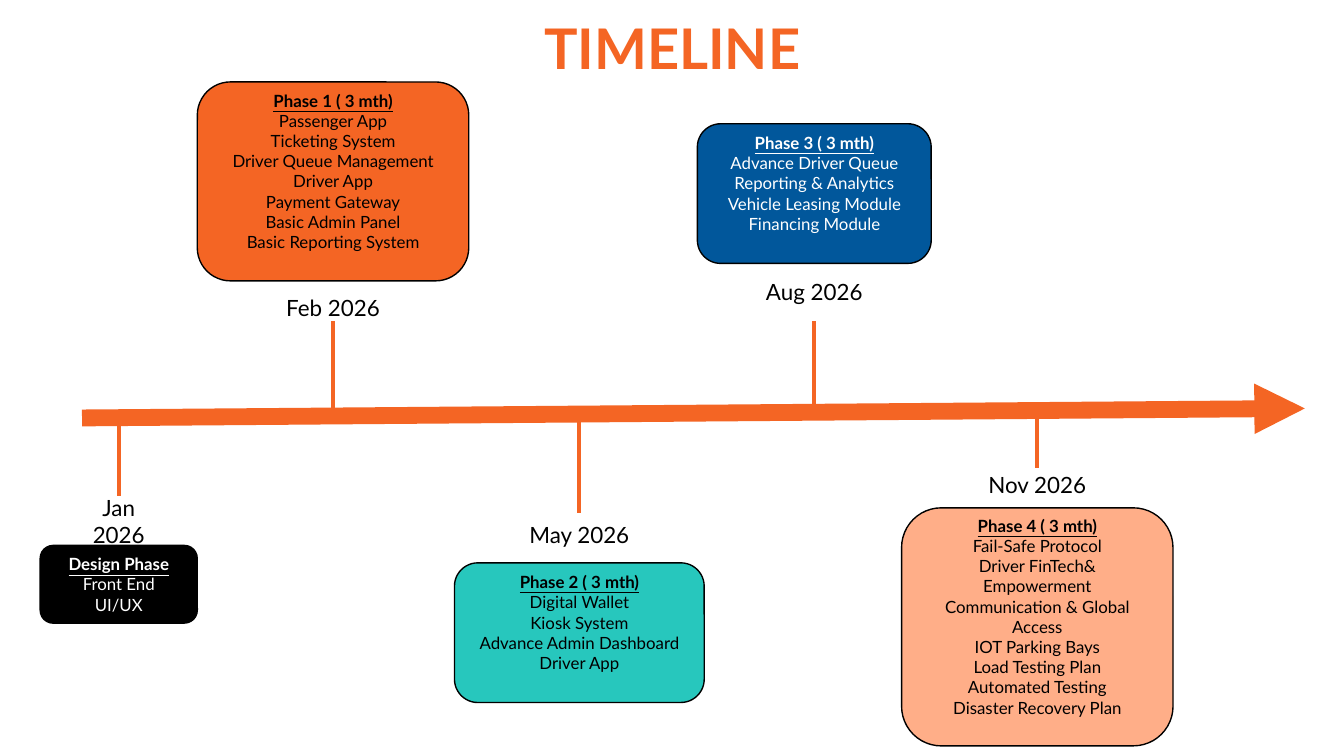
from lxml import etree
from pptx import Presentation
from pptx.dml.color import RGBColor
from pptx.enum.shapes import MSO_CONNECTOR, MSO_SHAPE
from pptx.enum.text import MSO_ANCHOR, PP_ALIGN
from pptx.oxml.ns import qn
from pptx.util import Cm, Pt

STRAIGHT = MSO_CONNECTOR.STRAIGHT
ROUNDED = MSO_SHAPE.ROUNDED_RECTANGLE
TOP, MIDDLE = MSO_ANCHOR.TOP, MSO_ANCHOR.MIDDLE
CENTER = PP_ALIGN.CENTER

FONT = "Lato"
INSET = 0.25
TITLE_ONLY = 5
COLORS = {
    "orange": "F46524",
    "teal": "27C7BD",
    "blue": "01579B",
    "peach": "FFAE88",
    "black": "000000",
    "white": "FFFFFF",
}

# box, fill, text colour, bottom inset, lines, date, date box width,
# then date top and tick ends measured from the top of the box
MILESTONES = [
    ((0.76, 10.31, 2.97, 1.47), "black", "white", INSET,
     ["Design Phase", "Front End", "UI/UX"],
     "Jan 2026", 2.08, -1.22, (-2.41, -0.94)),
    ((3.73, 1.55, 5.13, 3.76), "orange", "black", 0.64,
     ["Phase 1 ( 3 mth)", "Passenger App", "Ticketing System",
      "Driver Queue Management", "Driver App", "Payment Gateway",
      "Basic Admin Panel", "Basic Reporting System"],
     "Feb 2026", 3.25, 3.76, (4.52, 6.32)),
    ((8.59, 10.64, 4.72, 2.64), "teal", "black", 0.64,
     ["Phase 2 ( 3 mth)", "Digital Wallet", "Kiosk System",
      "Advance Admin Dashboard", "Driver App"],
     "May 2026", 2.97, -1.04, (-2.74, -0.94)),
    ((13.18, 2.34, 4.42, 2.64), "blue", "white", 0.64,
     ["Phase 3 ( 3 mth)", "Advance Driver Queue", "Reporting & Analytics",
      "Vehicle Leasing Module", "Financing Module"],
     "Aug 2026", 3.25, 2.66, (3.73, 5.53)),
    ((17.04, 9.6, 5.13, 4.5), "peach", "black", 0.64,
     ["Phase 4 ( 3 mth)", "Fail-Safe Protocol",
      "Driver FinTech& Empowerment", "Communication & Global Access",
      "IOT Parking Bays", "Load Testing Plan", "Automated Testing",
      "Disaster Recovery Plan"],
     "Nov 2026", 3.25, -0.94, (-1.7, -0.76)),
]


def rgb(name):
    return RGBColor.from_string(COLORS[name])


def write_text(shape, lines, size, color, anchor, heading=False, bottom=INSET):
    frame = shape.text_frame
    frame.word_wrap = True
    frame.vertical_anchor = anchor
    frame.margin_left = frame.margin_right = frame.margin_top = Cm(INSET)
    frame.margin_bottom = Cm(bottom)
    frame.text = "\n".join(lines)
    for index, paragraph in enumerate(frame.paragraphs):
        paragraph.alignment = CENTER
        paragraph.line_spacing = 1.0
        paragraph.space_before = Pt(0)
        font = paragraph.font
        font.name = FONT
        font.size = Pt(size)
        font.color.rgb = rgb(color)
        font.bold = font.underline = heading and index == 0


def add_line(slide, start, end, width, arrow=False):
    line = slide.shapes.add_connector(STRAIGHT, *map(Cm, start + end))
    line.line.color.rgb = rgb("orange")
    line.line.width = Pt(width)
    if arrow:
        outline = line.line._get_or_add_ln()
        etree.SubElement(outline, qn("a:tailEnd"), type="triangle")
    etree.SubElement(line._element.spPr, qn("a:effectLst"))


def add_title(slide, box):
    title = slide.shapes.title
    title.left, title.top, title.width, title.height = map(Cm, box)
    write_text(title, ["TIMELINE"], 30, "orange", TOP)
    title.text_frame.paragraphs[0].font.bold = True


def add_axis(slide, box):
    left, top, width, height = box
    add_line(slide, (left, top + height), (left + width, top), 9, arrow=True)


def add_milestone(slide, box, fill, color, bottom, lines,
                  date, date_width, date_offset, tick):
    left, top, width, height = box
    center = left + width / 2
    card = slide.shapes.add_shape(ROUNDED, *map(Cm, box))
    card.shadow.inherit = False
    card.fill.solid()
    card.fill.fore_color.rgb = rgb(fill)
    card.line.color.rgb = rgb("black")
    card.line.width = Pt(0.75)
    write_text(card, lines, 9, color, MIDDLE, heading=True, bottom=bottom)

    start, end = tick
    add_line(slide, (center, top + start), (center, top + end), 2.25)
    label = slide.shapes.add_textbox(
        Cm(center - date_width / 2), Cm(top + date_offset),
        Cm(date_width), Cm(1.02))
    write_text(label, [date], 12, "black", TOP)


def main():
    presentation = Presentation()
    presentation.slide_width = Cm(25.4)
    presentation.slide_height = Cm(14.29)
    slide = presentation.slides.add_slide(
        presentation.slide_layouts[TITLE_ONLY])
    add_title(slide, (9.02, 0, 7.37, 1.8))
    add_axis(slide, (1.55, 7.72, 23.11, 0.18))
    for milestone in MILESTONES:
        add_milestone(slide, *milestone)
    presentation.save("out.pptx")


if __name__ == "__main__":
    main()
